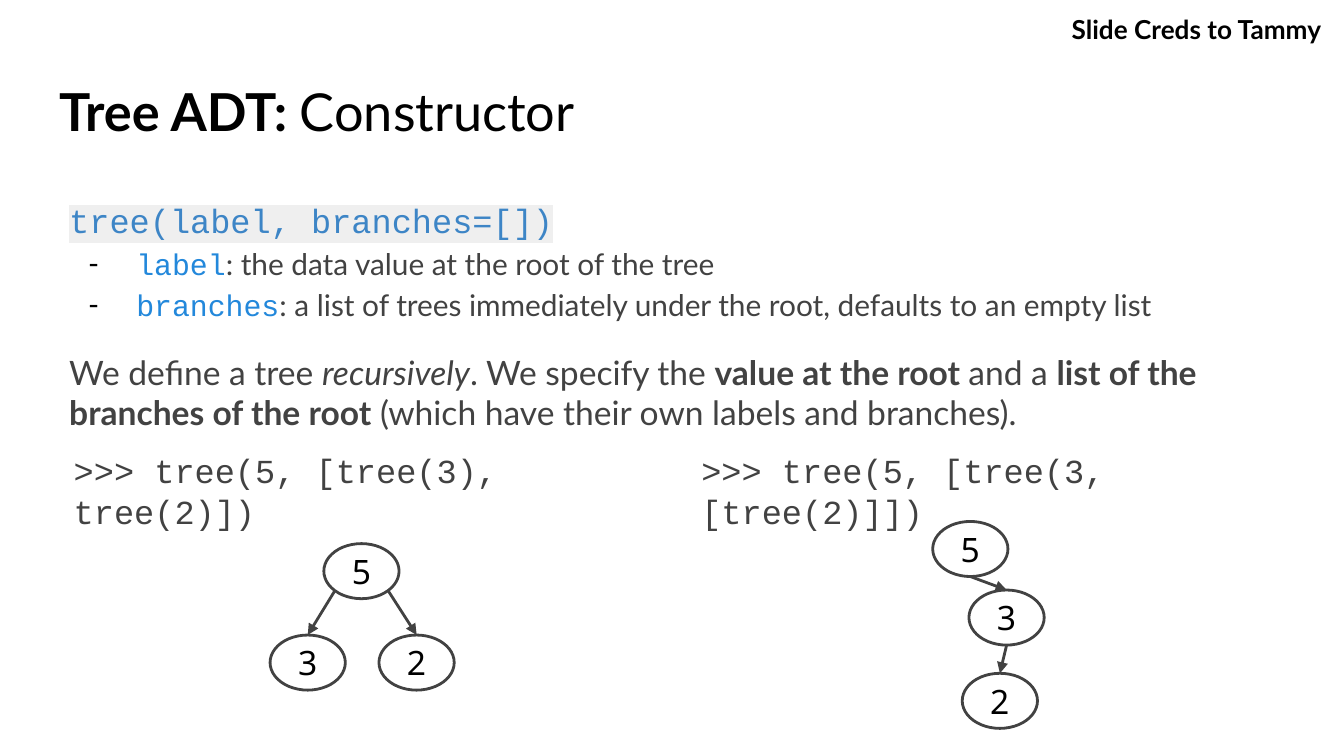
from dataclasses import dataclass
from math import sqrt

from lxml import etree
from pptx import Presentation
from pptx.dml.color import RGBColor
from pptx.enum.shapes import MSO_CONNECTOR, MSO_SHAPE
from pptx.enum.text import MSO_ANCHOR, MSO_AUTO_SIZE, PP_ALIGN
from pptx.oxml.ns import qn
from pptx.util import Emu, Pt

LEFT, CENTER = PP_ALIGN.LEFT, PP_ALIGN.CENTER
TOP, MIDDLE = MSO_ANCHOR.TOP, MSO_ANCHOR.MIDDLE
NO_FIT = MSO_AUTO_SIZE.NONE
OVAL = MSO_SHAPE.OVAL
STRAIGHT = MSO_CONNECTOR.STRAIGHT
EMU_PER_PX = 4572
NODE_W, NODE_H = 112, 82


@dataclass(frozen=True)
class Theme:
    black: str = "000000"
    ink: str = "424242"
    signature: str = "3D85C6"
    keyword: str = "2388DB"
    highlight: str = "EFEFEF"
    sans: str = "Lato"
    mono: str = "Courier New"
    node_font: str = "Noto Sans"
    title: int = 28
    text: int = 18
    bullet: int = 16
    credit: int = 14
    line: float = 1.5


THEME = Theme()


def px(n):
    return Emu(n * EMU_PER_PX)


def rgb(value):
    return RGBColor.from_string(value)


def add_run(p, text, size, font=THEME.sans, color=THEME.ink, bold=False, italic=False):
    r = p.add_run()
    r.text = text
    r.font.size = Pt(size)
    r.font.name = font
    r.font.bold = bold
    r.font.italic = italic
    r.font.color.rgb = rgb(color)
    return r


def highlight(r, color):
    fill = r.font._element.find(qn("a:solidFill"))
    mark = etree.Element(qn("a:highlight"))
    etree.SubElement(mark, qn("a:srgbClr"), val=color)
    fill.addnext(mark)


def setup_frame(s, anchor=TOP):
    tf = s.text_frame
    tf.auto_size = NO_FIT
    tf.word_wrap = True
    tf.vertical_anchor = anchor
    tf.margin_left = tf.margin_right = tf.margin_top = tf.margin_bottom = px(20)
    return tf


def place(s, left, top, width, height):
    s.left, s.top, s.width, s.height = px(left), px(top), px(width), px(height)


def format_paragraph(p, spacing=1.0, before=0, bullet=None):
    p.alignment = LEFT
    p.line_spacing = spacing
    p.space_before = Pt(before)
    p.space_after = Pt(0)
    pPr = p._p.get_or_add_pPr()
    pPr.set("marL", str(px(100 if bullet else 0)))
    pPr.set("indent", str(px(-72 if bullet else 0)))
    if bullet:
        color = etree.SubElement(pPr, qn("a:buClr"))
        etree.SubElement(color, qn("a:srgbClr"), val=THEME.black)
        etree.SubElement(pPr, qn("a:buFont"), typeface=THEME.sans)
        etree.SubElement(pPr, qn("a:buChar"), char=bullet)
    else:
        etree.SubElement(pPr, qn("a:buNone"))


def fill_title(s):
    place(s, 68, 98, 1864, 126)
    p = setup_frame(s).paragraphs[0]
    format_paragraph(p)
    add_run(p, "Tree ADT: ", THEME.title, color=THEME.black, bold=True)
    add_run(p, "Constructor", THEME.title, color=THEME.black)


def fill_body(s):
    place(s, 83, 268, 1844, 448)
    tf = setup_frame(s)
    p = tf.paragraphs[0]
    format_paragraph(p, spacing=1.15)
    r = add_run(p, "tree(label, branches=[])", THEME.text, THEME.mono, THEME.signature)
    highlight(r, THEME.highlight)

    arguments = [
        ("label", ": the data value at the root of the tree"),
        ("branches", ": a list of trees immediately under the root, defaults to an empty list"),
    ]
    for name, meaning in arguments:
        p = tf.add_paragraph()
        format_paragraph(p, spacing=1.15, bullet="-")
        add_run(p, name, THEME.bullet, THEME.mono, THEME.keyword)
        add_run(p, meaning, THEME.bullet)

    p = tf.add_paragraph()
    format_paragraph(p, before=16)
    add_run(p, "We define a tree ", THEME.text)
    add_run(p, "recursively", THEME.text, italic=True)
    add_run(p, ". We specify the ", THEME.text)
    add_run(p, "value at the root ", THEME.text, bold=True)
    add_run(p, "and a ", THEME.text)
    add_run(p, "list of the branches of the root", THEME.text, bold=True)
    add_run(p, " (which have their own labels and branches).", THEME.text)


def add_text(shapes, box, text, size, font, color, anchor=TOP, before=0, bold=False):
    s = shapes.add_textbox(*map(px, box))
    p = setup_frame(s, anchor).paragraphs[0]
    p.space_before = Pt(before)
    add_run(p, text, size, font, color, bold)


def add_node(shapes, label, left, top):
    s = shapes.add_shape(OVAL, px(left), px(top), px(NODE_W), px(NODE_H))
    s.shadow.inherit = False
    s.fill.background()
    s.line.color.rgb = rgb(THEME.ink)
    s.line.width = Pt(THEME.line)
    p = setup_frame(s, MIDDLE).paragraphs[0]
    p.alignment = CENTER
    add_run(p, label, THEME.text, THEME.node_font, THEME.black)
    return s


def add_edge(shapes, parent, child, side):
    reach = sqrt(0.5) if side else 1
    x = round(parent.left + parent.width / 2 * (1 + side * reach))
    y = round(parent.top + parent.height / 2 * (1 + reach))
    s = shapes.add_connector(STRAIGHT, x, y, child.left + child.width // 2, child.top)
    s.end_connect(child, 0)
    s.line.color.rgb = rgb(THEME.ink)
    s.line.width = Pt(THEME.line)
    etree.SubElement(s.line._get_or_add_ln(), qn("a:tailEnd"), type="triangle")
    etree.SubElement(s._element.spPr, qn("a:effectLst"))


def add_tree(slide, nodes, edges):
    shapes = slide.shapes.add_group_shape().shapes
    ovals = [add_node(shapes, *node) for node in nodes]
    for parent, child, side in edges:
        add_edge(shapes, ovals[parent], ovals[child], side)


def main():
    prs = Presentation()
    prs.slide_width, prs.slide_height = px(2000), px(1125)
    slide = prs.slides.add_slide(prs.slide_layouts[1])
    fill_title(slide.shapes.title)
    fill_body(slide.placeholders[1])

    add_tree(slide, [("5", 482, 809), ("3", 402, 945), ("2", 564, 945)],
             [(0, 1, -1), (0, 2, 1)])
    add_tree(slide, [("5", 1388, 776), ("3", 1442, 878), ("2", 1432, 1002)],
             [(0, 1, 0), (1, 2, 0)])

    examples = [
        ((90, 683, 898, 94), ">>> tree(5, [tree(3), tree(2)])"),
        ((1024, 683, 946, 94), ">>> tree(5, [tree(3, [tree(2)]])"),
    ]
    for box, code in examples:
        add_text(slide.shapes, box, code, THEME.text, THEME.mono, THEME.ink, MIDDLE, before=6)
    add_text(slide.shapes, (1575, 0, 425, 78), "Slide Creds to Tammy",
             THEME.credit, THEME.sans, THEME.black, bold=True)
    prs.save("out.pptx")


if __name__ == "__main__":
    main()
